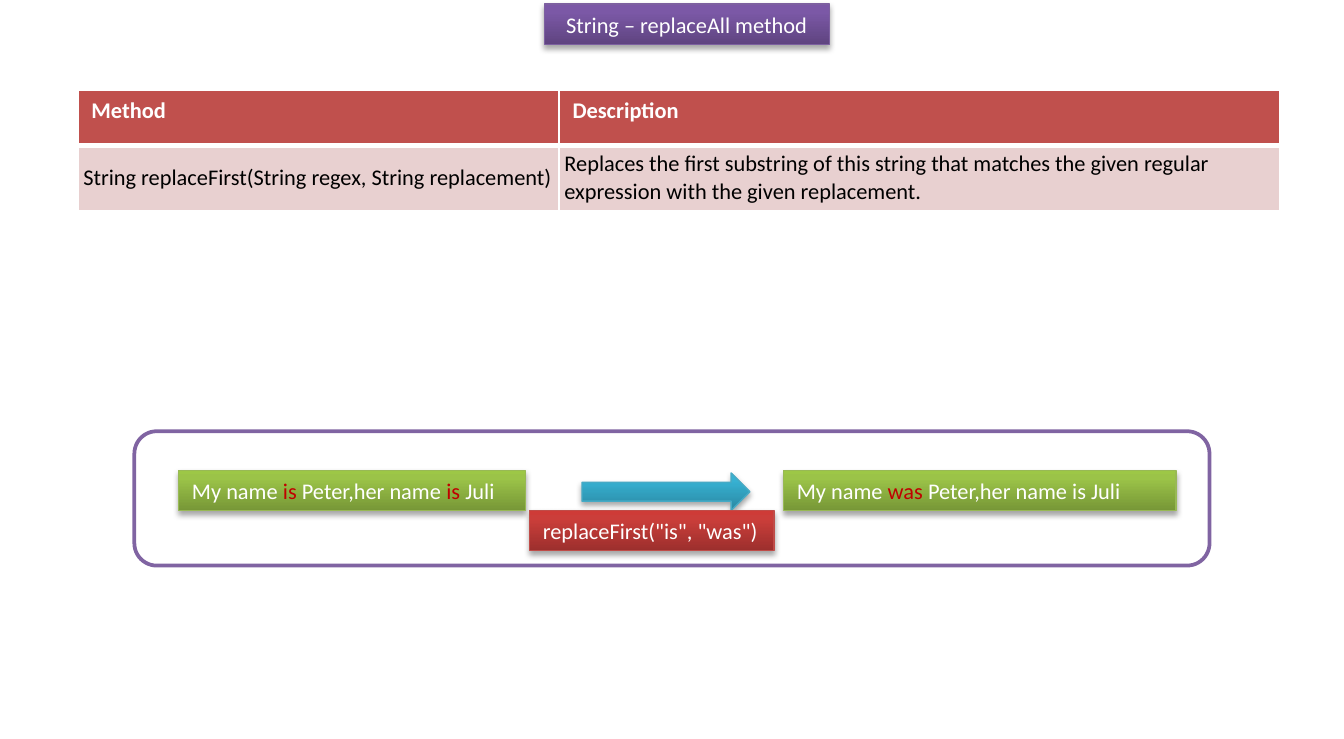
from copy import deepcopy

from lxml import etree
from pptx import Presentation
from pptx.dml.color import RGBColor
from pptx.enum.shapes import MSO_SHAPE
from pptx.enum.text import MSO_ANCHOR, MSO_AUTO_SIZE, PP_ALIGN
from pptx.oxml.ns import qn
from pptx.util import Inches, Pt

RECTANGLE, ARROW, ROUNDED = MSO_SHAPE.RECTANGLE, MSO_SHAPE.RIGHT_ARROW, MSO_SHAPE.ROUNDED_RECTANGLE
LEFT, CENTER = PP_ALIGN.LEFT, PP_ALIGN.CENTER
TOP, MIDDLE = MSO_ANCHOR.TOP, MSO_ANCHOR.MIDDLE
FIXED, FIT_SHAPE = MSO_AUTO_SIZE.NONE, MSO_AUTO_SIZE.SHAPE_TO_FIT_TEXT

FONT, SIZE = "Calibri", 12
COLORS = {"white": "FFFFFF", "black": "000000", "accent": "C00000",
          "frame": "8064A2", "header": "C0504D", "body": "E8D0D0"}
# Each theme: outline, then gradient from bottom to top
THEMES = {
    "purple": ("7D60A0", ("5F4480", "7B58A6", "7C57A8")),
    "green": ("98B955", ("779737", "9BC348", "9DC746")),
    "blue": ("46AAC5", ("2A88A2", "37B1D2", "34B4D6")),
    "red": ("BF4C48", ("9C2F2D", "CB3E3A", "CE3B37")),
}
STOPS = (0, 0.8, 1)

# Content: runs are (text, color)
TITLE = [("String – replaceAll method", "white")]
TABLE = [
    ("Method", "Description"),
    ("String replaceFirst(String regex, String replacement)",
     "Replaces the first substring of this string that matches the given regular "
     "expression with the given replacement."),
]
COLUMN_WIDTHS, ROW_HEIGHT = (3.58, 5.36), 0.41
BEFORE = [("My name ", "white"), ("is", "accent"), (" Peter,her name ", "white"),
          ("is ", "accent"), ("Juli", "white")]
AFTER = [("My name ", "white"), ("was ", "accent"), ("Peter,her name is Juli", "white")]
CALL = [('replaceFirst("is", "was")', "white")]
# Kind, place, theme, runs, wrap
DIAGRAM = [
    (RECTANGLE, (1.33, 3.5, 2.58, 0.3), "green", BEFORE, True),
    (RECTANGLE, (5.83, 3.5, 2.92, 0.3), "green", AFTER, True),
    (ARROW, (4.33, 3.52, 1.25, 0.28), "blue", [], True),
    (RECTANGLE, (3.94, 3.8, 1.82, 0.3), "red", CALL, False),
]


def rgb(value):
    return RGBColor.from_string(value)


def write(frame, runs, bold=False, align=LEFT):
    para = frame.paragraphs[0]
    para.alignment = align
    for text, color in runs:
        span = para.add_run()
        span.text = text
        font = span.font
        font.name, font.size, font.bold = FONT, Pt(SIZE), bold
        font.color.rgb = rgb(COLORS[color])


def add_shadow(shape):
    shape.shadow.inherit = False
    effects = shape._element.spPr.find(qn("a:effectLst"))
    shadow = etree.SubElement(effects, qn("a:outerShdw"), blurRad=str(Pt(3.1)),
                              dist=str(Pt(1.8)), dir="5400000", rotWithShape="0")
    color = etree.SubElement(shadow, qn("a:srgbClr"), val=COLORS["black"])
    etree.SubElement(color, qn("a:alpha"), val="35000")


def style(shape, theme):
    line_color, gradient = THEMES[theme]
    shape.fill.gradient()
    stop_list = shape._element.spPr.find(".//" + qn("a:gsLst"))
    stop_list.append(deepcopy(stop_list[0]))
    for stop, position, color in zip(shape.fill.gradient_stops, STOPS, gradient):
        stop.position = position
        stop.color.rgb = rgb(color)
    shape.fill.gradient_angle = 90
    shape.line.color.rgb = rgb(line_color)
    shape.line.width = Pt(0.75)
    add_shadow(shape)


def fill_label(shape, runs, align=LEFT, wrap=True, sizing=FIT_SHAPE):
    frame = shape.text_frame
    frame.word_wrap = wrap
    frame.auto_size = sizing
    frame.vertical_anchor = TOP
    frame.margin_left = frame.margin_right = Inches(0.1)
    frame.margin_top = frame.margin_bottom = Inches(0.05)
    write(frame, runs, align=align)


def set_borders(cell, bottom):
    properties = cell._tc.get_or_add_tcPr()
    for index, (side, width) in enumerate((("L", 1), ("R", 1), ("T", 1), ("B", bottom))):
        line = etree.Element(qn("a:ln" + side), w=str(Pt(width)))
        solid = etree.SubElement(line, qn("a:solidFill"))
        etree.SubElement(solid, qn("a:srgbClr"), val=COLORS["white"])
        properties.insert(index, line)


deck = Presentation()
deck.slide_width, deck.slide_height = Inches(10), Inches(5.5)
page = deck.slides.add_slide(deck.slide_layouts[5])

# Title: fixed size, since a placeholder that fits its text keeps the layout's height
title = page.shapes.title
title.left, title.top, title.width, title.height = map(Inches, (4.05, 0.03, 2.12, 0.3))
style(title, "purple")
fill_label(title, TITLE, CENTER, sizing=FIXED)

# Rounded frame around the example
outline = page.shapes.add_shape(ROUNDED, *map(Inches, (1, 3.21, 8, 1)))
outline.shadow.inherit = False
outline.fill.solid()
outline.fill.fore_color.rgb = rgb(COLORS["white"])
outline.line.color.rgb = rgb(COLORS["frame"])
outline.line.width = Pt(2)

# Method table
place = (0.58, 0.67, sum(COLUMN_WIDTHS), ROW_HEIGHT * len(TABLE))
table = page.shapes.add_table(len(TABLE), len(COLUMN_WIDTHS), *map(Inches, place)).table
for column, width in zip(table.columns, COLUMN_WIDTHS):
    column.width = Inches(width)
for r, row in enumerate(TABLE):
    header = r == 0
    table.rows[r].height = Inches(ROW_HEIGHT)
    for c, text in enumerate(row):
        cell = table.cell(r, c)
        cell.fill.solid()
        cell.fill.fore_color.rgb = rgb(COLORS["header" if header else "body"])
        set_borders(cell, 3 if header else 1)
        if not header:
            cell.vertical_anchor = MIDDLE
            cell.margin_left = cell.margin_right = Inches(0.04)
            cell.margin_top = cell.margin_bottom = Inches(0.04)
        write(cell.text_frame, [(text, "white" if header else "black")], bold=header)

# Example: before, after, arrow and call
for kind, place, theme, runs, wrap in DIAGRAM:
    shape = page.shapes.add_shape(kind, *map(Inches, place))
    style(shape, theme)
    if runs:
        fill_label(shape, runs, wrap=wrap)

deck.save("out.pptx")
